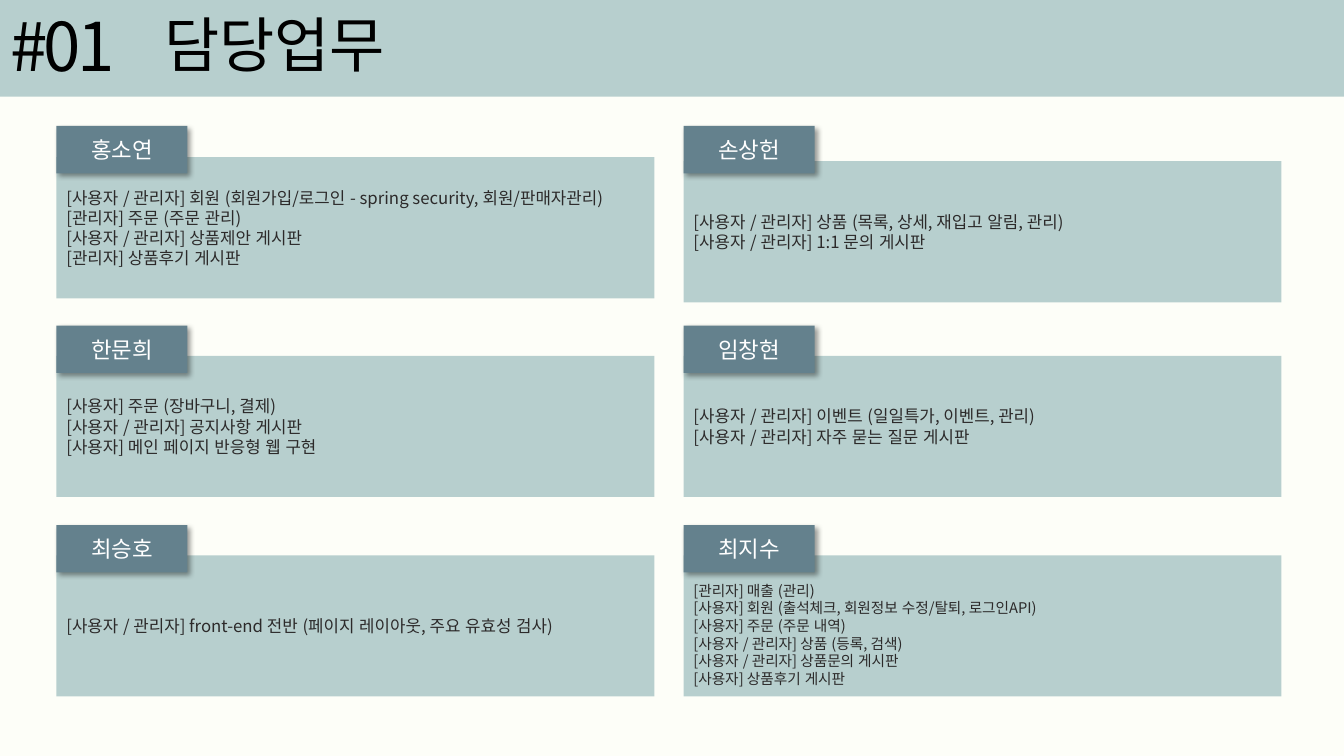
"""Build the team duties slide: a title band above a two by three grid of cards."""
from dataclasses import dataclass

from lxml import etree
from pptx import Presentation
from pptx import util as u
from pptx.dml.color import RGBColor
from pptx.enum import lang, shapes, text
from pptx.oxml import ns


@dataclass(frozen=True)
class Theme:
    """Colours, type sizes and font."""
    page: str = "FDFEF8"
    band: str = "B7CFCE"
    tab: str = "64818D"
    ink: str = "2C2A2A"
    black: str = "000000"
    white: str = "FFFFFF"
    head: float = 42.9
    mark: float = 48
    name: float = 16
    body: float = 12
    small: float = 10.5
    font: str = "Noto Sans CJK KR"


@dataclass(frozen=True)
class Grid:
    """Slide size and card grid in inches."""
    wide: float = 13.33
    high: float = 7.5
    band: float = 0.96
    left: float = 0.56
    top: float = 1.25
    col: float = 6.22
    row: float = 1.98


@dataclass(frozen=True)
class Box:
    """Left, top, width and height in inches."""
    x: float
    y: float
    w: float
    h: float

    def emu(self) -> tuple:
        """Return the four lengths as slide units."""
        return tuple(u.Inches(n) for n in (self.x, self.y, self.w, self.h))


@dataclass(frozen=True)
class Card:
    """One person's duties at a grid cell."""
    col: int
    row: int
    name: str
    tasks: tuple
    drop: float = 0.3
    size: float = Theme.body
    inset: float = 0.05


THEME = Theme()
GRID = Grid()
CARDS = (
    Card(0, 0, "홍소연", (
        "[사용자 / 관리자] 회원 (회원가입/로그인 - spring security, 회원/판매자관리)",
        "[관리자] 주문 (주문 관리)",
        "[사용자 / 관리자] 상품제안 게시판",
        "[관리자] 상품후기 게시판"), drop=0.31),
    Card(0, 1, "한문희", (
        "[사용자] 주문 (장바구니, 결제)",
        "[사용자 / 관리자] 공지사항 게시판",
        "[사용자] 메인 페이지 반응형 웹 구현")),
    Card(0, 2, "최승호", (
        "[사용자 / 관리자] front-end 전반 (페이지 레이아웃, 주요 유효성 검사)",)),
    Card(1, 0, "손상헌", (
        "[사용자 / 관리자] 상품 (목록, 상세, 재입고 알림, 관리)",
        "[사용자 / 관리자] 1:1 문의 게시판"), drop=0.35),
    Card(1, 1, "임창현", (
        "[사용자 / 관리자] 이벤트 (일일특가, 이벤트, 관리)",
        "[사용자 / 관리자] 자주 묻는 질문 게시판")),
    Card(1, 2, "최지수", (
        "[관리자] 매출 (관리)",
        "[사용자] 회원 (출석체크, 회원정보 수정/탈퇴, 로그인API)",
        "[사용자] 주문 (주문 내역)",
        "[사용자 / 관리자] 상품 (등록, 검색)",
        "[사용자 / 관리자] 상품문의 게시판",
        "[사용자] 상품후기 게시판"), size=THEME.small, inset=0.22),
)


def write(frame, lines: tuple, size: float, hue: str,
          align=text.PP_ALIGN.LEFT, lead: float = 1.0, track: int = 0) -> None:
    """Fill a text frame with one run per paragraph."""
    frame.word_wrap = True
    for i, line in enumerate(lines):
        para = frame.paragraphs[0] if i == 0 else frame.add_paragraph()
        para.alignment = align
        para.line_spacing = lead
        run = para.add_run()
        run.text = line
        font = run.font
        font.size = u.Pt(size)
        font.name = THEME.font
        font.color.rgb = RGBColor.from_string(hue)
        font.language_id = lang.MSO_LANGUAGE_ID.KOREAN
        props = run._r.get_or_add_rPr()
        etree.SubElement(props, ns.qn("a:ea"), typeface=THEME.font)
        if track:
            props.set("spc", str(track))


def block(slide, box: Box, hue: str):
    """Draw a plain filled rectangle."""
    shape = slide.shapes.add_shape(shapes.MSO_SHAPE.RECTANGLE, *box.emu())
    shape.shadow.inherit = False
    shape.fill.solid()
    shape.fill.fore_color.rgb = RGBColor.from_string(hue)
    shape.line.fill.background()
    return shape


def shade(shape) -> None:
    """Add a soft shadow falling to the lower right."""
    effects = shape._element.spPr.find(ns.qn("a:effectLst"))
    outer = etree.SubElement(
        effects, ns.qn("a:outerShdw"), blurRad=str(u.Pt(4)), dist=str(u.Pt(3)),
        dir=str(45 * 60000), algn="tl", rotWithShape="0")
    tint = etree.SubElement(outer, ns.qn("a:srgbClr"), val=THEME.black)
    etree.SubElement(tint, ns.qn("a:alpha"), val="40000")


def title(slide, box: Box, line: str, size: float, track: int = 0) -> None:
    """Place one piece of the heading."""
    frame = slide.shapes.add_textbox(*box.emu()).text_frame
    write(frame, (line,), size, THEME.black, lead=0.9, track=track)


def draw(slide, card: Card) -> None:
    """Draw a duty panel with its name tab."""
    x = GRID.left + card.col * GRID.col
    y = GRID.top + card.row * GRID.row
    panel = block(slide, Box(x, y + card.drop, 5.93, 1.4), THEME.band)
    frame = panel.text_frame
    frame.vertical_anchor = text.MSO_ANCHOR.MIDDLE
    frame.margin_top = u.Inches(card.inset)
    write(frame, card.tasks, card.size, THEME.ink)
    tab = block(slide, Box(x, y, 1.3, 0.47), THEME.tab)
    shade(tab)
    tab.text_frame.vertical_anchor = text.MSO_ANCHOR.MIDDLE
    write(tab.text_frame, (card.name,), THEME.name, THEME.white,
          text.PP_ALIGN.CENTER)


def main() -> None:
    """Build and save the slide."""
    deck = Presentation()
    deck.slide_width = u.Inches(GRID.wide)
    deck.slide_height = u.Inches(GRID.high)
    slide = deck.slides.add_slide(deck.slide_layouts[6])
    block(slide, Box(0, 0, GRID.wide, GRID.high), THEME.page)
    block(slide, Box(0, 0, GRID.wide, GRID.band), THEME.band)
    title(slide, Box(1.53, 0.11, 6.09, 0.77), "담당업무", THEME.head)
    title(slide, Box(0.01, 0.08, 1.75, 0.78), "#01", THEME.mark, -300)
    for card in CARDS:
        draw(slide, card)
    deck.save("out.pptx")


if __name__ == "__main__":
    main()
